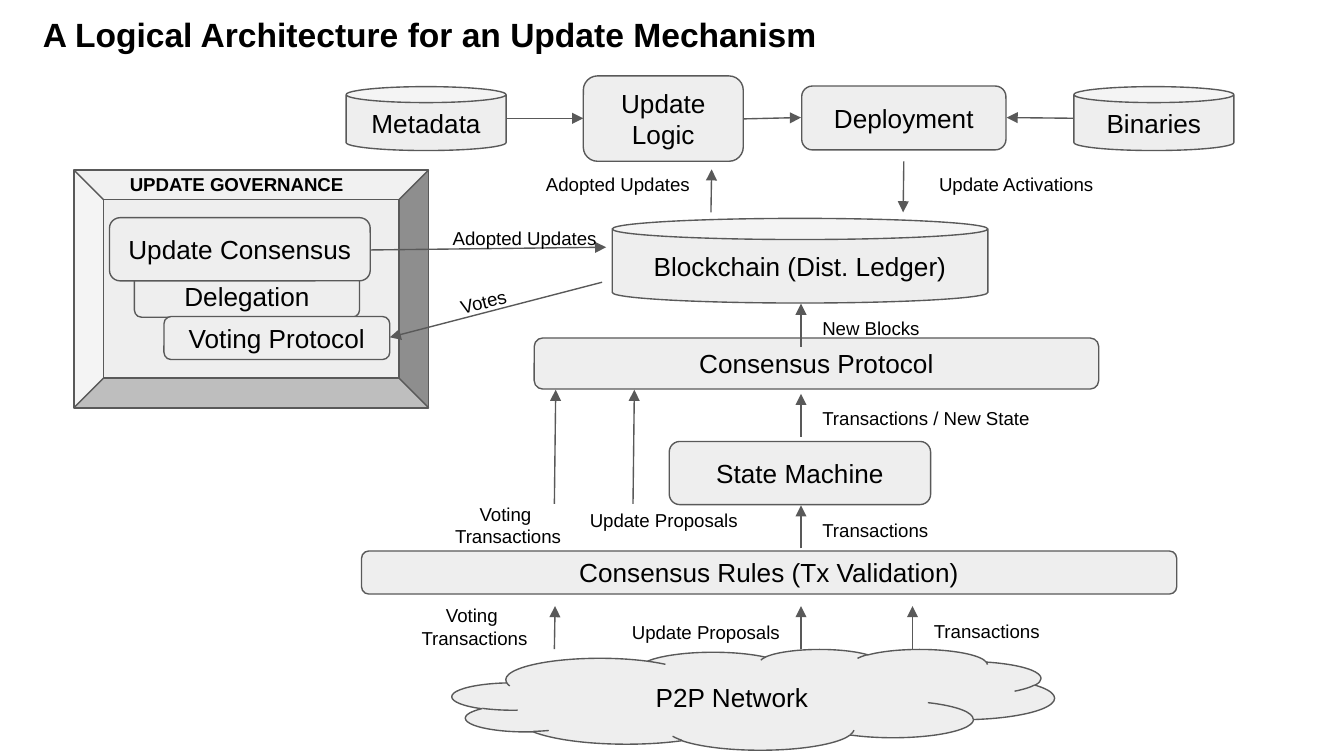
from lxml import etree
from pptx import Presentation
from pptx import util as u
from pptx.dml.color import RGBColor
from pptx.enum import shapes, text
from pptx.oxml.ns import qn

COLORS = {"fill": "EEEEEE", "line": "595959", "text": "000000"}
COLUMNS, ROWS = 100, 56.25
KINDS = shapes.MSO_SHAPE
ALIGN = text.PP_ALIGN

TITLE = "A Logical Architecture for an Update Mechanism"
BLOCKS = [
    (KINDS.BEVEL, "", 5.5, 12.65, 26.4, 17.7),
    (KINDS.ROUNDED_RECTANGLE, "Delegation", 10, 20.4, 16.75, 3.2),
    (KINDS.ROUNDED_RECTANGLE, "Voting Protocol", 12.2, 23.55, 16.8, 3.2),
    (KINDS.ROUNDED_RECTANGLE, "Update Consensus", 8.15, 16.2, 19.4, 4.7),
    (KINDS.CAN, "Metadata", 25.75, 6.45, 11.9, 4.75),
    (KINDS.ROUNDED_RECTANGLE, "Update\nLogic", 43.4, 5.65, 11.9, 6.35),
    (KINDS.ROUNDED_RECTANGLE, "Deployment", 59.65, 6.4, 15.2, 4.75),
    (KINDS.CAN, "Binaries", 79.9, 6.45, 11.9, 4.75),
    (KINDS.CAN, "Blockchain (Dist. Ledger)", 45.55, 16.25, 27.95, 6.3),
    (KINDS.ROUNDED_RECTANGLE, "Consensus Protocol", 39.75, 25.15, 42, 3.8),
    (KINDS.ROUNDED_RECTANGLE, "State Machine", 49.8, 32.85, 19.45, 4.7),
    (KINDS.ROUNDED_RECTANGLE, "Consensus Rules (Tx Validation)", 26.9, 41, 60.65, 3.2),
    (KINDS.CLOUD, "P2P Network", 33.65, 48.3, 44.8, 7.5),
]
ARROWS = [
    (37.7, 8.8, 43.4, 8.8), (55.3, 8.85, 59.6, 8.75), (79.9, 8.8, 74.9, 8.75),
    (52.9, 15.8, 52.95, 12.6), (67.25, 12, 67.2, 15.8),
    (27.6, 18.6, 45.1, 18.4), (44.8, 21, 29, 25.1),
    (59.6, 25.8, 59.6, 22.6), (59.6, 32.5, 59.6, 29.3), (59.6, 40.8, 59.6, 37.6),
    (41.25, 37.5, 41.35, 29), (47.1, 37.5, 47.2, 29),
    (41.25, 48.3, 41.3, 45.1), (59.6, 48.3, 59.6, 45.1), (67.9, 48.3, 67.9, 45.1),
]
LABELS = [
    ("UPDATE GOVERNANCE", 7.9, 11.85, 19.4, ALIGN.CENTER, 0),
    ("Adopted Updates", 34.7, 11.85, 17.6, ALIGN.RIGHT, 0),
    ("Update Activations", 68.55, 11.85, 14.1, ALIGN.CENTER, 0),
    ("Adopted Updates", 32.7, 15.9, 15.2, ALIGN.LEFT, 0),
    ("Votes", 30.9, 20.6, 10, ALIGN.CENTER, 345.9),
    ("New Blocks", 60.2, 22.6, 20.3, ALIGN.LEFT, 0),
    ("Transactions / New State", 60.2, 29.25, 20.3, ALIGN.LEFT, 0),
    ("Voting \nTransactions", 29, 36.4, 17.6, ALIGN.CENTER, 0),
    ("Update Proposals", 42.9, 36.85, 19.4, ALIGN.LEFT, 0),
    ("Transactions", 60.2, 37.6, 15.2, ALIGN.LEFT, 0),
    ("Voting \nTransactions", 26.5, 43.95, 17.6, ALIGN.CENTER, 0),
    ("Update Proposals", 41.4, 45.2, 17.6, ALIGN.RIGHT, 0),
    ("Transactions", 68.5, 45.1, 10, ALIGN.LEFT, 0),
]
FRAME = {"word_wrap": True, "auto_size": text.MSO_AUTO_SIZE.NONE}
FRAME.update({f"margin_{side}": u.Inches(0.1) for side in ("left", "top", "right", "bottom")})

presentation = Presentation()
presentation.slide_width = u.Inches(10)
presentation.slide_height = presentation.slide_width * 9 // 16
slide = presentation.slides.add_slide(presentation.slide_layouts[6])
cell_width = presentation.slide_width / COLUMNS
cell_height = presentation.slide_height / ROWS


def place(left, top, right, bottom):
    return (round(left * cell_width), round(top * cell_height),
            round(right * cell_width), round(bottom * cell_height))


def color(name):
    return RGBColor.from_string(COLORS[name])


def assign(target, values):
    for name, value in values.items():
        setattr(target, name, value)


def write(shape, words, size, align, anchor, bold=False):
    frame = shape.text_frame
    assign(frame, FRAME | {"vertical_anchor": anchor, "text": words})
    for paragraph in frame.paragraphs:
        paragraph.alignment = align
        for run in paragraph.runs:
            assign(run.font, {"name": "Arial", "size": u.Pt(size), "bold": bold})
            run.font.color.rgb = color("text")


def outline(shape):
    shape.line.color.rgb = color("line")
    shape.line.width = u.Pt(0.75)


def add_block(kind, words, *box):
    shape = slide.shapes.add_shape(kind, *place(*box))
    shape.shadow.inherit = False
    shape.fill.solid()
    shape.fill.fore_color.rgb = color("fill")
    outline(shape)
    if words:
        write(shape, words, 14, ALIGN.CENTER, text.MSO_ANCHOR.MIDDLE)


def add_arrow(*ends):
    connector = slide.shapes.add_connector(shapes.MSO_CONNECTOR.STRAIGHT, *place(*ends))
    outline(connector)
    etree.SubElement(connector.line._get_or_add_ln(), qn("a:tailEnd"), type="triangle")
    etree.SubElement(connector._element.spPr, qn("a:effectLst"))


def add_label(words, left, top, width, align, rotation=0, size=10, height=3.2, bold=False):
    shape = slide.shapes.add_textbox(*place(left, top, width, height))
    shape.rotation = rotation
    write(shape, words, size, align, text.MSO_ANCHOR.TOP, bold)


add_label(TITLE, 2.2, 0.05, 89, ALIGN.LEFT, size=18, height=4.7, bold=True)
for block in BLOCKS:
    add_block(*block)
for arrow in ARROWS:
    add_arrow(*arrow)
for label in LABELS:
    add_label(*label, bold=label[0].isupper())

presentation.save("out.pptx")
